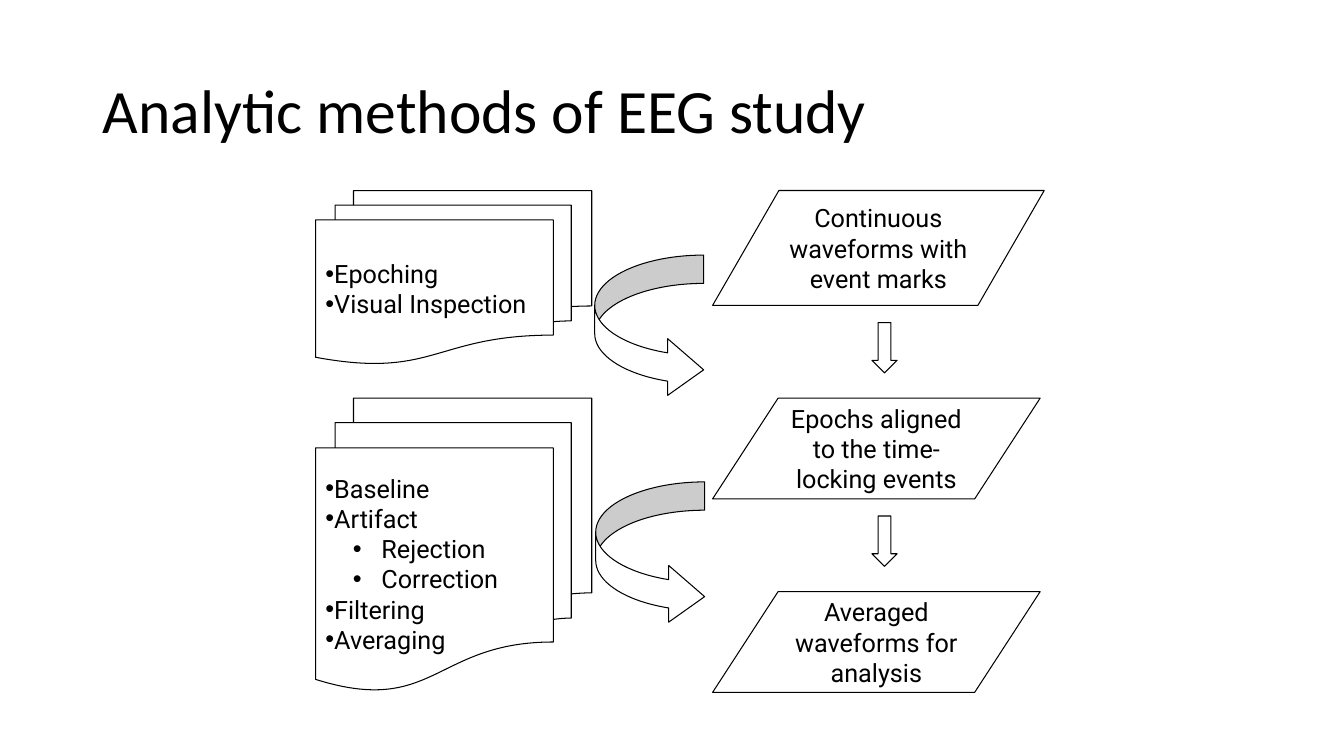
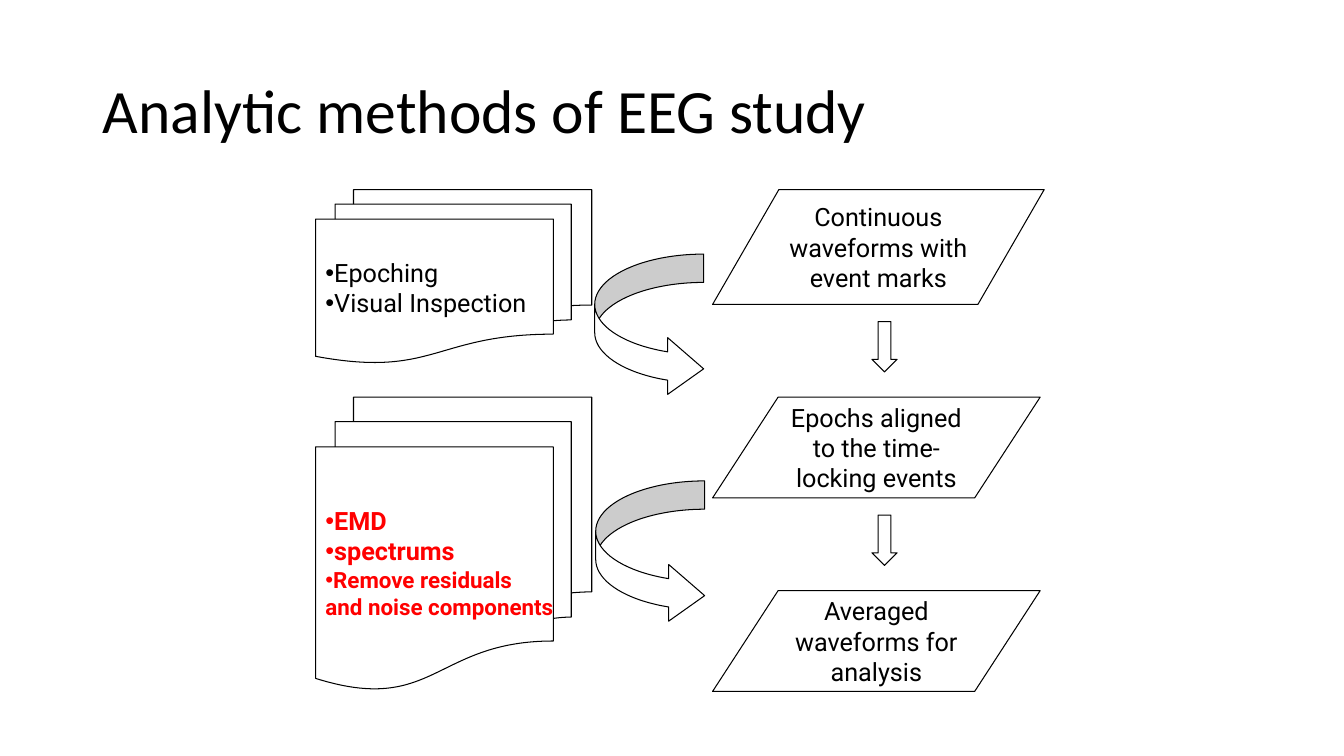
from dataclasses import dataclass

import lxml.etree
import pptx
import pptx.dml.color
import pptx.enum.shapes
import pptx.enum.text
import pptx.oxml.ns
import pptx.util

Pt = pptx.util.Pt
Kind = pptx.enum.shapes.MSO_SHAPE
Align = pptx.enum.text.PP_ALIGN
Anchor = pptx.enum.text.MSO_ANCHOR

COLOURS = {"text": "000000", "line": "000000", "fill": "FFFFFF", "accent": "FF0000"}
TITLE = "Analytic methods of EEG study"
TITLE_FONT, BODY_FONT = "Calibri", "Roboto"
SUB_MARGIN, SUB_INDENT = 40, -20.5


@dataclass(frozen=True)
class Line:
    text: str
    level: int = 0
    bullet: bool = True
    size: float = 18
    colour: str = "text"
    bold: bool = False
    align: Align = Align.LEFT


@dataclass(frozen=True)
class Box:
    kind: Kind
    left: float
    top: float
    width: float
    height: float
    lines: tuple[Line, ...] = ()
    wrap: bool = True
    adjustments: tuple[float, ...] = ()


def down_arrow(top: float) -> Box:
    return Box(Kind.DOWN_ARROW, 622.8, top, 18, 36)


def data_box(top: float, width: float, height: float, text: str) -> Box:
    line = Line(text, bullet=False, align=Align.CENTER)
    return Box(Kind.FLOWCHART_DATA, 509, top, width, height, (line,))


def documents(top: float, height: float, lines: tuple[Line, ...]) -> Box:
    return Box(Kind.FLOWCHART_MULTIDOCUMENT, 225.4, top, 197.3, height, lines, wrap=False)


def curved_arrow(left: float, top: float) -> Box:
    return Box(Kind.CURVED_RIGHT_ARROW, left, top, 77.8, 102.2,
               adjustments=(0.26, 0.52, 0.33))


FIRST_STEP = (Line("Epoching"), Line("Visual Inspection"))
CLASSIC_STEP = (
    Line("Baseline"),
    Line("Artifact"),
    Line("Rejection", level=1),
    Line("Correction", level=1),
    Line("Filtering"),
    Line("Averaging"),
)
EMD_STEP = (
    Line("EMD", colour="accent", bold=True),
    Line("spectrums", colour="accent", bold=True),
    Line("Remove residuals", size=16, colour="accent", bold=True),
    Line("and noise components", bullet=False, size=16, colour="accent", bold=True),
)


def flow(second_step: tuple[Line, ...]) -> tuple[Box, ...]:
    """List the flowchart's boxes from back to front."""
    return (
        down_arrow(230.4),
        down_arrow(368.6),
        data_box(136.1, 236.9, 82.1, "Continuous waveforms with event marks"),
        data_box(284.4, 234, 72, "Epochs aligned to the time-locking events"),
        data_box(422.6, 234, 72, "Averaged waveforms for analysis"),
        documents(136.1, 123.8, FIRST_STEP),
        documents(284.4, 208.8, second_step),
        curved_arrow(424.8, 182.2),
        curved_arrow(425.5, 344.2),
    )


def rgb(name: str) -> pptx.dml.color.RGBColor:
    return pptx.dml.color.RGBColor.from_string(COLOURS[name])


def add_bullet(para, level: int) -> None:
    properties = para._p.get_or_add_pPr()
    if level:
        properties.set("marL", str(Pt(SUB_MARGIN)))
        properties.set("indent", str(Pt(SUB_INDENT)))
    for tag, key, value in (("a:buFont", "typeface", "Arial"), ("a:buChar", "char", "•")):
        lxml.etree.SubElement(properties, pptx.oxml.ns.qn(tag)).set(key, value)


def style_font(font, name: str, size: float, colour: str, bold: bool = False) -> None:
    font.name = name
    font.size = Pt(size)
    font.bold = bold
    font.color.rgb = rgb(colour)


def write_lines(frame, lines: tuple[Line, ...]) -> None:
    for index, line in enumerate(lines):
        para = frame.add_paragraph() if index else frame.paragraphs[0]
        para.text = line.text
        para.level = line.level
        para.alignment = line.align
        if line.bullet:
            add_bullet(para, line.level)
        style_font(para.font, BODY_FONT, line.size, line.colour, line.bold)


def draw_box(page, box: Box, shift: float) -> None:
    shape = page.shapes.add_shape(
        box.kind, Pt(box.left), Pt(box.top + shift), Pt(box.width), Pt(box.height))
    shape.shadow.inherit = False
    shape.fill.solid()
    shape.fill.fore_color.rgb = rgb("fill")
    shape.line.color.rgb = rgb("line")
    shape.line.width = Pt(0.75)
    for index, value in enumerate(box.adjustments):
        shape.adjustments[index] = value
    if box.lines:
        shape.text_frame.word_wrap = box.wrap
        shape.text_frame.vertical_anchor = Anchor.MIDDLE
        write_lines(shape.text_frame, box.lines)


def draw_title(page) -> None:
    title = page.shapes.title
    title.left, title.top, title.width, title.height = Pt(66.2), Pt(28.8), Pt(828), Pt(104.4)
    frame = title.text_frame
    frame.text = TITLE
    frame.word_wrap = True
    frame.auto_size = pptx.enum.text.MSO_AUTO_SIZE.NONE
    frame.vertical_anchor = Anchor.MIDDLE
    para = frame.paragraphs[0]
    para.alignment = Align.LEFT
    para.line_spacing = 0.9
    style_font(para.font, TITLE_FONT, 44, "text")


def main() -> None:
    deck = pptx.Presentation()
    deck.slide_width, deck.slide_height = Pt(960), Pt(540)
    for second_step, shift in ((CLASSIC_STEP, 0), (EMD_STEP, -0.7)):
        page = deck.slides.add_slide(deck.slide_layouts[5])
        draw_title(page)
        for box in flow(second_step):
            draw_box(page, box, shift)
    deck.save("out.pptx")


if __name__ == "__main__":
    main()
